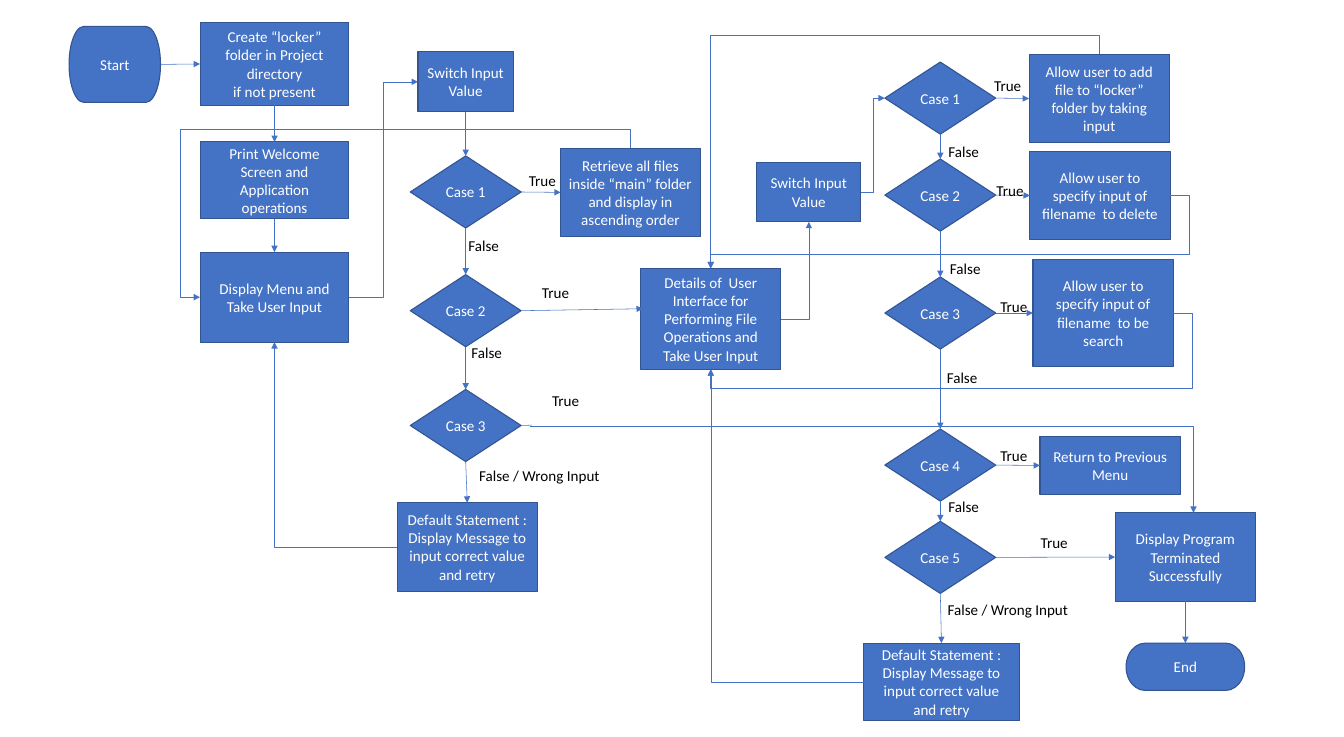
from lxml import etree
from pptx import Presentation
from pptx.dml.color import RGBColor
from pptx.enum.shapes import MSO_CONNECTOR, MSO_SHAPE
from pptx.enum.text import MSO_ANCHOR, MSO_AUTO_SIZE, PP_ALIGN
from pptx.oxml.ns import qn
from pptx.util import Inches, Pt

BLUE = RGBColor(0x44, 0x72, 0xC4)
NAVY = RGBColor(0x32, 0x54, 0x91)
WHITE = RGBColor(0xFF, 0xFF, 0xFF)
BLACK = RGBColor(0, 0, 0)
FONT = "Calibri"

RECT = MSO_SHAPE.RECTANGLE
PROCESS = MSO_SHAPE.FLOWCHART_PROCESS
ENDPOINT = MSO_SHAPE.FLOWCHART_TERMINATOR
DECISION = MSO_SHAPE.FLOWCHART_DECISION
TOP, LEFT, BOTTOM, RIGHT = range(4)  # connection sites
TURN = {RIGHT: 0, LEFT: 180, TOP: 270}  # rotation of an elbow leaving a side

RETRY = ["Default Statement : Display Message to input correct value and retry"]
SWITCH = ["Switch Input", "Value"]

# name: (shape, left, top, width, height, paragraphs)
BOXES = {
    "start": (ENDPOINT, 0.89, 0.34, 1.18, 0.98, ["Start"]),
    "create": (RECT, 2.58, 0.29, 1.92, 1.07,
               ["Create “locker” folder in Project directory", "if not present"]),
    "welcome": (RECT, 2.58, 1.83, 1.92, 0.99,
                ["Print Welcome Screen and Application operations"]),
    "menu": (RECT, 2.58, 3.25, 1.92, 1.16, ["Display Menu and Take User Input"]),
    "main switch": (RECT, 5.39, 0.67, 1.23, 0.77, SWITCH),
    "retrieve": (PROCESS, 7.23, 1.91, 1.8, 1.14,
                 ["Retrieve all files inside “main” folder and display in ascending order"]),
    "main retry": (PROCESS, 5.12, 6.48, 1.81, 1.14, RETRY),
    "details": (PROCESS, 8.26, 3.46, 1.81, 1.3,
                ["Details of  User Interface for Performing File Operations "
                 "and Take User Input"]),
    "file switch": (RECT, 9.76, 2.09, 1.34, 0.77, SWITCH),
    "add": (PROCESS, 13.27, 0.7, 1.81, 1.14,
            ["Allow user to add file to “locker” folder by taking input"]),
    "delete": (PROCESS, 13.28, 1.95, 1.81, 1.14,
               ["Allow user to specify input of filename  to delete"]),
    "search": (PROCESS, 13.32, 3.35, 1.81, 1.37,
               ["Allow user to specify input of filename  to be search"]),
    "return": (PROCESS, 13.41, 5.63, 1.81, 0.74, ["Return to Previous Menu"]),
    "file retry": (PROCESS, 11.14, 8.29, 2, 1, RETRY),
    "terminated": (PROCESS, 14.38, 6.61, 1.81, 1.14,
                   ["Display Program Terminated Successfully"]),
    "end": (ENDPOINT, 14.52, 8.29, 1.53, 0.61, ["End"]),
}
CASE_W, CASE_H = 1.43, 0.93
# menu: (left, tops of its cases)
CASES = {
    "main": (5.29, [2.01, 3.54, 5.02]),
    "file": (11.41, [0.8, 2.05, 3.57, 5.53, 6.72]),
}

# label: (left, top) of each place it stands
LABELS = {
    "True": [(6.72, 2.16), (6.89, 3.6), (7.02, 4.99), (12.72, 0.93), (12.75, 2.29),
             (12.8, 3.78), (12.8, 5.71), (13.32, 6.83)],
    "False": [(5.94, 3), (5.98, 4.38), (12.13, 1.79), (12.15, 3.3), (12.11, 4.7),
              (12.13, 6.36)],
    "False / Wrong Input": [(6.08, 5.96), (12.12, 7.69)],
}
LABEL_W = {"True": 0.56, "False": 0.6, "False / Wrong Input": 1.77}
LABEL_H = 0.34

DOWN = [("create", "welcome"), ("welcome", "menu"), ("main switch", "main 1"),
        ("terminated", "end")]
ACROSS = [("start", "create"), ("main 1", "retrieve"), ("file 1", "add"),
          ("file 2", "delete"), ("file 3", "search"), ("file 4", "return"),
          ("file 5", "terminated")]
# from, side, to, side, bend positions as shares of the span
ELBOWS = [
    ("menu", RIGHT, "main switch", LEFT, [0.5]),
    ("main retry", LEFT, "menu", BOTTOM, []),
    ("retrieve", TOP, "menu", LEFT, [-0.13, 1.045]),
    ("details", RIGHT, "file switch", BOTTOM, []),
    ("file switch", RIGHT, "file 1", LEFT, [0.5]),
    ("file retry", LEFT, "details", BOTTOM, []),
    ("add", TOP, "details", TOP, [-0.09]),
    ("delete", RIGHT, "details", TOP, [-0.042, 0.802]),
    ("search", RIGHT, "details", BOTTOM, [-0.042, 1.34]),
]


def add_text(tf, paragraphs, color, align):
    """Write the paragraphs into a text frame."""
    for i, text in enumerate(paragraphs):
        p = tf.paragraphs[0] if i == 0 else tf.add_paragraph()
        p.alignment = align
        r = p.add_run()
        r.text = text
        r.font.name, r.font.size, r.font.color.rgb = FONT, Pt(14), color


def add_box(s, kind, x, y, w, h, paragraphs):
    """Add one flowchart shape with centred text."""
    sp = s.shapes.add_shape(kind, *map(Inches, (x, y, w, h)))
    sp.shadow.inherit = False
    sp.fill.solid()
    sp.fill.fore_color.rgb = BLUE
    sp.line.color.rgb, sp.line.width = NAVY, Pt(1)
    sp.text_frame.word_wrap = True
    sp.text_frame.vertical_anchor = MSO_ANCHOR.MIDDLE
    add_text(sp.text_frame, paragraphs, WHITE, PP_ALIGN.CENTER)
    return sp


def add_label(s, text, x, y):
    """Add a branch label."""
    sp = s.shapes.add_textbox(*map(Inches, (x, y, LABEL_W[text], LABEL_H)))
    sp.text_frame.word_wrap = False
    sp.text_frame.auto_size = MSO_AUTO_SIZE.SHAPE_TO_FIT_TEXT
    add_text(sp.text_frame, [text], BLACK, PP_ALIGN.LEFT)


def add_line(s, begin, end, kind=MSO_CONNECTOR.STRAIGHT, arrow=True):
    """Connect two ends, each an (x, y) point or a (shape, site) pair."""
    c = s.shapes.add_connector(kind, 0, 0, 0, 0)
    if isinstance(begin[0], (int, float)):
        c.begin_x, c.begin_y = map(Inches, begin)
    else:
        c.begin_connect(*begin)
    if isinstance(end[0], (int, float)):
        c.end_x, c.end_y = map(Inches, end)
    else:
        c.end_connect(*end)
    c.line.color.rgb, c.line.width = BLUE, Pt(0.5)
    if arrow:
        etree.SubElement(c.line._get_or_add_ln(), qn("a:tailEnd"), type="triangle")
    etree.SubElement(c._element.spPr, qn("a:effectLst"))
    return c


def add_elbow(s, begin, end, side, bends):
    """Add a bent arrow leaving through side, with a turn at each bend."""
    c = add_line(s, begin, end, MSO_CONNECTOR.ELBOW)
    dx, dy = c.end_x - c.begin_x, c.end_y - c.begin_y
    mid_x, mid_y = c.begin_x + dx // 2, c.begin_y + dy // 2
    along, aside = {RIGHT: (dx, dy), LEFT: (-dx, -dy), TOP: (-dy, dx)}[side]
    c.width, c.height = abs(along), abs(aside)
    c.left, c.top = mid_x - c.width // 2, mid_y - c.height // 2
    xfrm = c._element.spPr.find(qn("a:xfrm"))
    xfrm.set("rot", str(TURN[side] * 60000))
    xfrm.set("flipH", str(int(along < 0)))
    xfrm.set("flipV", str(int(aside < 0)))
    geom = c._element.spPr.find(qn("a:prstGeom"))
    geom.set("prst", f"bentConnector{len(bends) + 2}")
    for i, bend in enumerate(bends, 1):
        etree.SubElement(geom.find(qn("a:avLst")), qn("a:gd"), name=f"adj{i}",
                         fmla=f"val {round(bend * 100000)}")


prs = Presentation()
prs.slide_width, prs.slide_height = Inches(17.33), Inches(9.5)
s = prs.slides.add_slide(prs.slide_layouts[6])

box = {name: add_box(s, *row) for name, row in BOXES.items()}
down = list(DOWN)
for menu, (x, tops) in CASES.items():
    names = [f"{menu} {n}" for n in range(1, len(tops) + 1)]
    for n, (name, y) in enumerate(zip(names, tops), 1):
        box[name] = add_box(s, DECISION, x, y, CASE_W, CASE_H, [f"Case {n}"])
    down += zip(names, names[1:] + [f"{menu} retry"])

for a, b in down:
    add_line(s, (box[a], BOTTOM), (box[b], TOP))
for a, b in ACROSS:
    add_line(s, (box[a], RIGHT), (box[b], LEFT))
for a, side, b, site, bends in ELBOWS:
    add_elbow(s, (box[a], side), (box[b], site), side, bends)
add_line(s, (box["main 2"], RIGHT), (8.29, 3.98))
add_elbow(s, (6.83, 5.49), (15.39, 6.61), RIGHT, [])
add_line(s, (6.86, 5.48), (box["main 3"], RIGHT), arrow=False)

for text, places in LABELS.items():
    for x, y in places:
        add_label(s, text, x, y)

prs.save("out.pptx")
